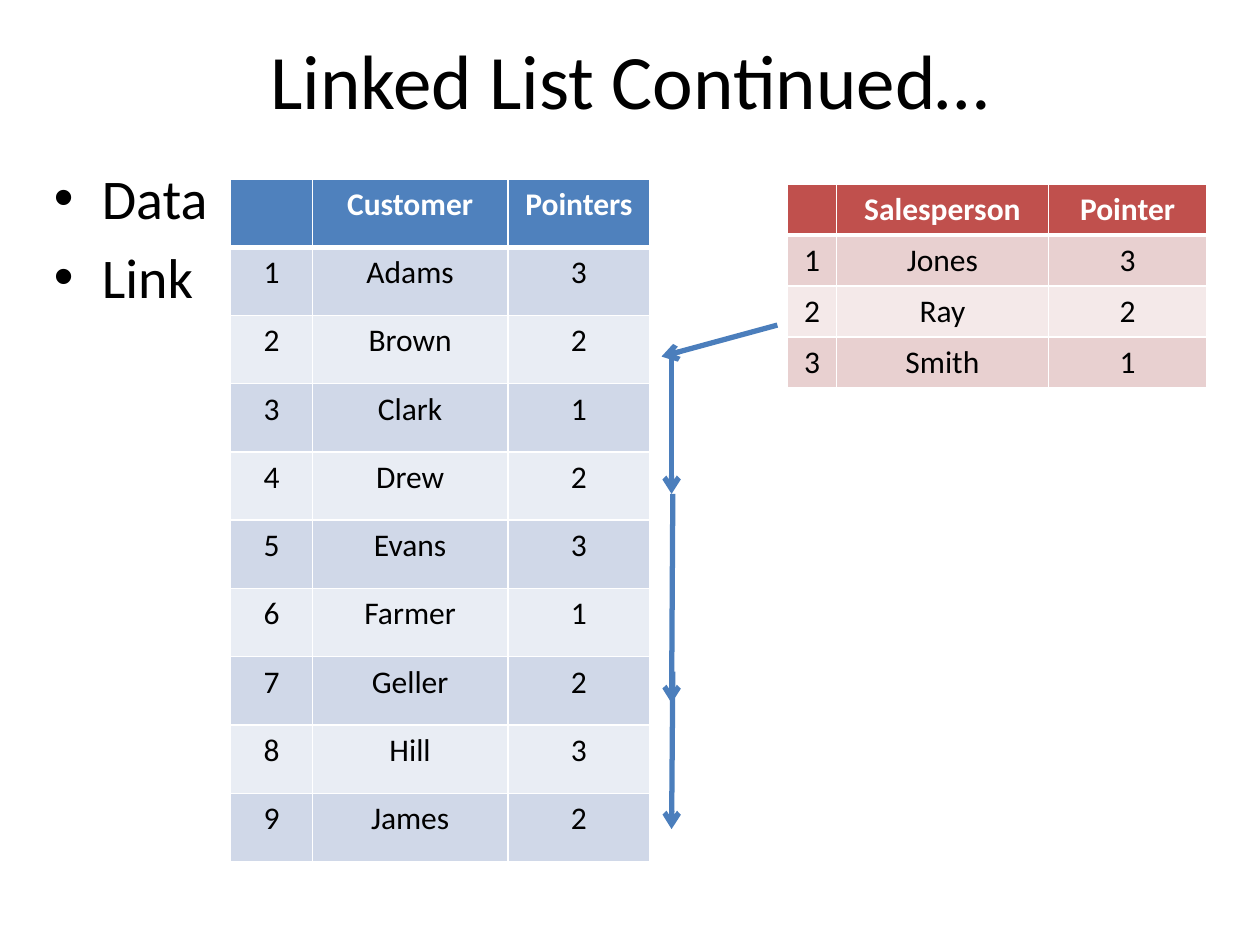
"""Build a slide on linked lists: customer and salesperson tables joined by arrows."""
from lxml.etree import SubElement as Sub
from pptx import Presentation
from pptx.dml.color import RGBColor
from pptx.enum.shapes import MSO_CONNECTOR as Conn
from pptx.enum.text import MSO_ANCHOR as Anchor, PP_ALIGN as Align
from pptx.oxml.ns import qn
from pptx.util import Inches, Pt

FONT = "Calibri"
TITLE = "Linked List Continued…"
POINTS = ["Data", "Link"]
TABLES = [
    {"box": (1.83, 1.42, 5.42), "cols": (0.65, 1.55, 1.13),
     "fills": ("4F81BD", "D0D8E8", "E9EDF4"),
     "head": ("", "Customer", "Pointers"),
     "rows": [("Adams", 3), ("Brown", 2), ("Clark", 1), ("Drew", 2), ("Evans", 3),
              ("Farmer", 1), ("Geller", 2), ("Hill", 3), ("James", 2)]},
    {"box": (6.25, 1.46, 1.62), "cols": (0.39, 1.68, 1.26),
     "fills": ("C0504D", "E8D0D0", "F4E9E9"),
     "head": ("", "Salesperson", "Pointer"),
     "rows": [("Jones", 3), ("Ray", 2), ("Smith", 1)]},
]
ARROWS = [
    (6.17, 2.58, 5.25, 2.83),
    (5.33, 2.83, 5.33, 3.92),
    (5.34, 3.92, 5.33, 5.58),
    (5.34, 5.33, 5.33, 6.58),
]


def rgb(code):
    return RGBColor.from_string(code)


def write(para, text, size, color="000000", bold=False):
    run = para.add_run()
    run.text = text
    font = run.font
    font.name, font.size, font.bold = FONT, Pt(size), bold
    font.color.rgb = rgb(color)


def add_box(slide, *box):
    frame = slide.shapes.add_textbox(*map(Inches, box)).text_frame
    frame.word_wrap = True
    return frame


def add_points(frame, points):
    for i, text in enumerate(points):
        para = frame.add_paragraph() if i else frame.paragraphs[0]
        para.space_before = Pt(6.4)
        props = para._p.get_or_add_pPr()
        props.set("marL", str(Inches(0.38)))
        props.set("indent", str(-Inches(0.38)))
        Sub(props, qn("a:buFont"), typeface="Arial")
        Sub(props, qn("a:buChar"), char="•")
        write(para, text, 32)


def edge(cell, side, width):
    line = Sub(cell._tc.get_or_add_tcPr(), qn(f"a:ln{side}"), w=str(Pt(width)))
    Sub(Sub(line, qn("a:solidFill")), qn("a:srgbClr"), val="FFFFFF")


def add_grid(slide, data):
    left, top, height = data["box"]
    cols, fills = data["cols"], data["fills"]
    rows = [data["head"]] + [(n, *row) for n, row in enumerate(data["rows"], 1)]
    table = slide.shapes.add_table(
        len(rows), len(cols), *map(Inches, (left, top, sum(cols), height))).table
    for col, width in zip(table.columns, cols):
        col.width = Inches(width)
    for r, row in enumerate(rows):
        table.rows[r].height = Inches(height / len(rows))
        fill = fills[2 - r % 2] if r else fills[0]
        for c, value in enumerate(row):
            cell = table.cell(r, c)
            for side in "LRTB":
                thick = (r == 0 and side == "B") or (r == 1 and side == "T")
                edge(cell, side, 3 if thick else 1)
            cell.fill.solid()
            cell.fill.fore_color.rgb = rgb(fill)
            para = cell.text_frame.paragraphs[0]
            para.alignment = Align.CENTER
            if value:
                write(para, str(value), 18, "000000" if r else "FFFFFF", r == 0)


def add_arrow(slide, ends):
    arrow = slide.shapes.add_connector(Conn.STRAIGHT, *map(Inches, ends))
    arrow.line.color.rgb = rgb("4B7EBC")
    arrow.line.width = Pt(3)
    Sub(arrow.line._get_or_add_ln(), qn("a:tailEnd"), type="arrow")
    Sub(arrow._element.spPr, qn("a:effectLst"))


def main():
    deck = Presentation()
    deck.slide_width, deck.slide_height = Inches(10), Inches(7.5)
    slide = deck.slides.add_slide(deck.slide_layouts[6])
    title = add_box(slide, 0.5, 0, 9, 1.25)
    title.vertical_anchor = Anchor.MIDDLE
    title.paragraphs[0].alignment = Align.CENTER
    write(title.paragraphs[0], TITLE, 44)
    add_points(add_box(slide, 0.33, 1.25, 9.17, 5.45), POINTS)
    for data in TABLES:
        add_grid(slide, data)
    for ends in ARROWS:
        add_arrow(slide, ends)
    deck.save("out.pptx")


if __name__ == "__main__":
    main()
